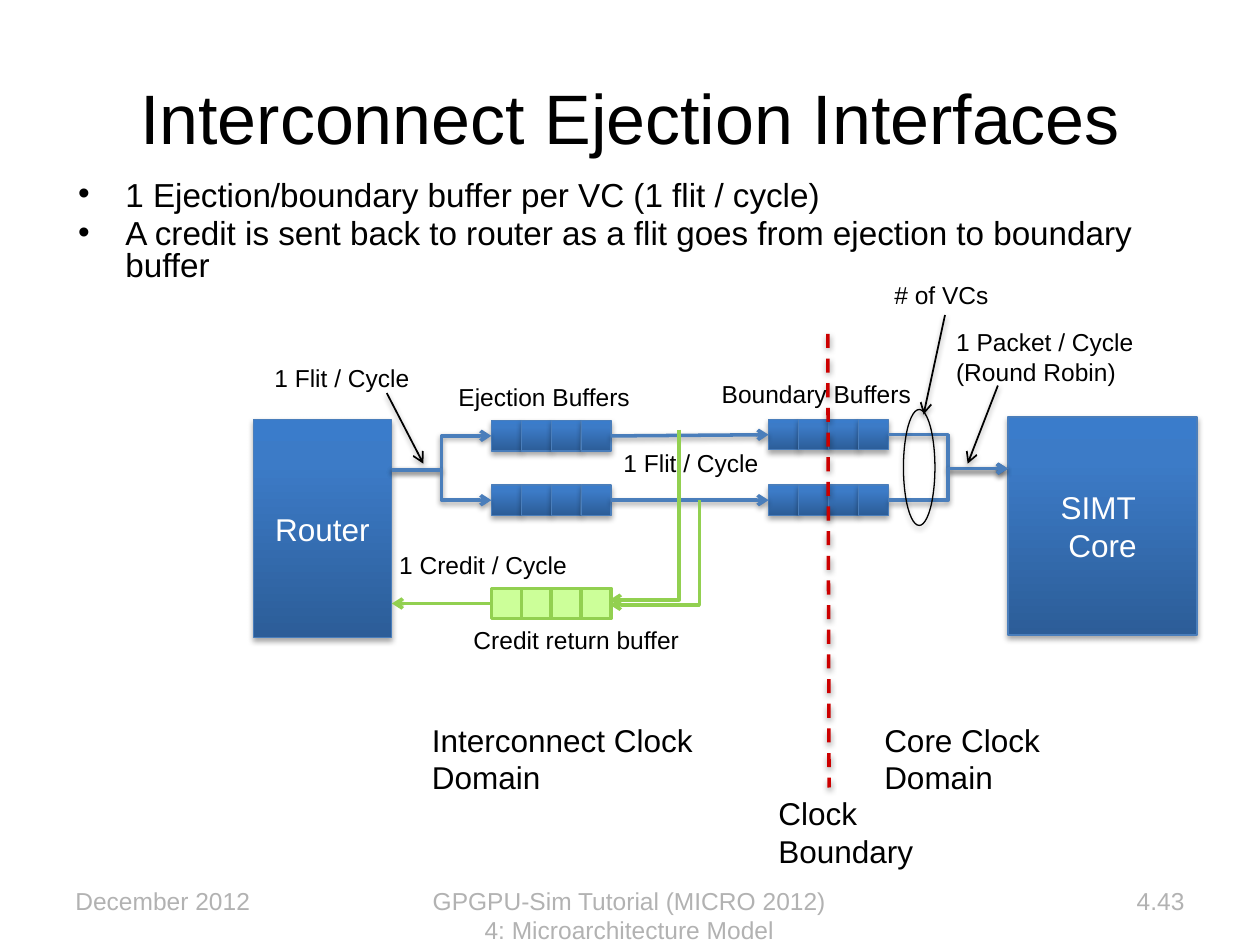
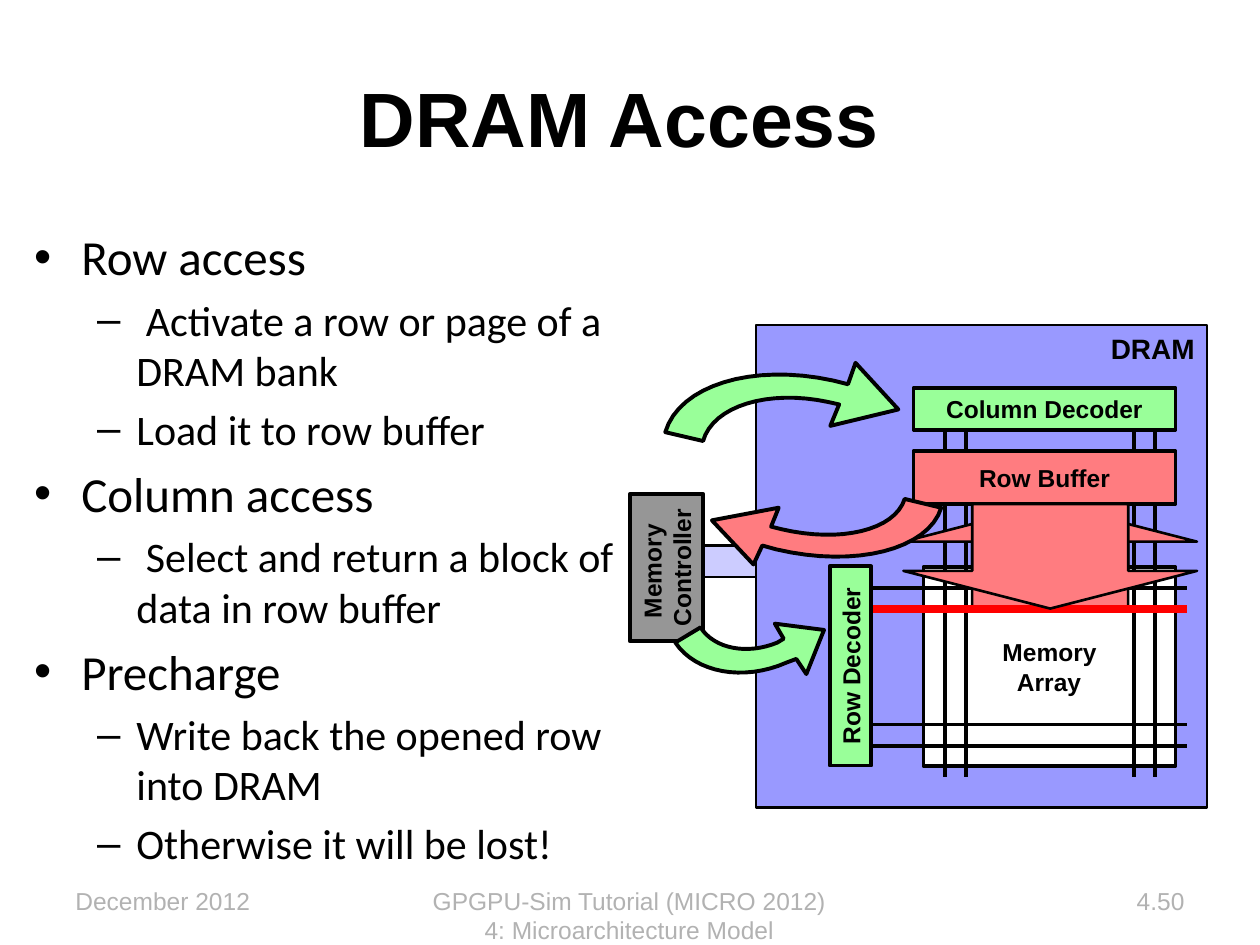
from copy import deepcopy
from dataclasses import dataclass
from typing import Any

from lxml import etree
from pptx import Presentation
from pptx.dml.color import RGBColor
from pptx.enum.dml import MSO_LINE
from pptx.enum.shapes import MSO_CONNECTOR, MSO_SHAPE
from pptx.enum.text import MSO_ANCHOR, MSO_AUTO_SIZE, PP_ALIGN
from pptx.oxml.ns import qn
from pptx.util import Inches, Pt

LEFT, CENTER, RIGHT = PP_ALIGN.LEFT, PP_ALIGN.CENTER, PP_ALIGN.RIGHT
TOP, MIDDLE = MSO_ANCHOR.TOP, MSO_ANCHOR.MIDDLE
FIXED, GROW = MSO_AUTO_SIZE.NONE, MSO_AUTO_SIZE.SHAPE_TO_FIT_TEXT
STRAIGHT, ELBOW = MSO_CONNECTOR.STRAIGHT, MSO_CONNECTOR.ELBOW
RECT, OVAL, UP_ARROW = MSO_SHAPE.RECTANGLE, MSO_SHAPE.OVAL, MSO_SHAPE.UP_ARROW
DASH = MSO_LINE.DASH
LEFT_SIDE, RIGHT_SIDE = 1, 3

COLORS = {
    "black": "000000", "white": "FFFFFF", "footer": "B2B2B2",
    "blue_dark": "2C5D98", "blue_mid": "3C7BC7", "blue_light": "3A7CCB",
    "blue_line": "4A7EBB", "credit": "CCFF99", "credit_line": "92D050",
    "clock": "CC0000", "dram": "9999FF", "bus": "CCCCFF", "controller": "969696",
    "address": "99FF99", "data": "FF7C80", "open_row": "FF0000",
}
BLUE_GRADIENT = ((0, "blue_dark"), (0.8, "blue_mid"), (1, "blue_light"))
# Shadow distance in EMU and opacity in thousandths of a percent
BOX_SHADOW, LINE_SHADOW = (23000, 35000), (20000, 38000)


@dataclass
class Panel:
    """A box on a slide; parts are placed in inches from its top left corner."""
    slide: Any
    left: float
    top: float
    width: float
    height: float

    def at(self, x, y):
        return Inches(self.left + x), Inches(self.top + y)


def rgb(name):
    return RGBColor.from_string(COLORS[name])


def write(frame, lines, sizes=(14,), color="black", font="Arial", bold=False,
          align=LEFT, anchor=TOP, wrap=True, fit=FIXED, inset=None, spacing=None):
    """Fill a text frame; a line is a string or a (level, string) pair."""
    frame.word_wrap, frame.auto_size, frame.vertical_anchor = wrap, fit, anchor
    if inset is not None:
        frame.margin_left = frame.margin_right = Inches(inset)
        frame.margin_top = frame.margin_bottom = Inches(inset)
    for i, line in enumerate(lines):
        level, text = (0, line) if isinstance(line, str) else line
        paragraph = frame.paragraphs[0] if i == 0 else frame.add_paragraph()
        paragraph.level, paragraph.alignment = level, align
        if spacing:
            paragraph.line_spacing = spacing
        run = paragraph.add_run()
        run.text = text
        run.font.name, run.font.size, run.font.bold = font, Pt(sizes[level]), bold
        run.font.color.rgb = rgb(color)


def set_shadow(part, shadow):
    effects = etree.SubElement(part.element.spPr, qn("a:effectLst"))
    if shadow:
        distance, alpha = shadow
        outer = etree.SubElement(effects, qn("a:outerShdw"), blurRad="40000",
                                 dist=str(distance), dir="5400000", rotWithShape="0")
        black = etree.SubElement(outer, qn("a:srgbClr"), val=COLORS["black"])
        etree.SubElement(black, qn("a:alpha"), val=str(alpha))


def paint(shape, fill, line, width, shadow=None):
    """Style a shape; fill is a colour name, gradient stops or None."""
    if fill is None:
        shape.fill.background()
    elif isinstance(fill, str):
        shape.fill.solid()
        shape.fill.fore_color.rgb = rgb(fill)
    else:
        shape.fill.gradient()
        shape.fill.gradient_angle = 90
        stops = shape.element.spPr.find(".//" + qn("a:gsLst"))
        stops.append(deepcopy(stops[-1]))
        for stop, (position, color) in zip(shape.fill.gradient_stops, fill):
            stop.position, stop.color.rgb = position, rgb(color)
    shape.line.color.rgb, shape.line.width = rgb(line), Pt(width)
    set_shadow(shape, shadow)


def block(panel, x, y, w, h, fill, line="black", width=2.25, shadow=None,
          kind=RECT, lines=(), **text_format):
    shape = panel.slide.shapes.add_shape(kind, *panel.at(x, y), Inches(w), Inches(h))
    paint(shape, fill, line, width, shadow)
    if lines:
        write(shape.text_frame, lines, **text_format)
    return shape


def blue_block(panel, x, y, w, h, **text):
    return block(panel, x, y, w, h, BLUE_GRADIENT, "blue_line", 0.75, BOX_SHADOW, **text)


def label(panel, x, y, w, h, *lines, fit=GROW, **text_format):
    box = panel.slide.shapes.add_textbox(*panel.at(x, y), Inches(w), Inches(h))
    write(box.text_frame, lines, fit=fit, **text_format)


def link(panel, start, end, color="blue_line", width=2, kind=STRAIGHT, arrow=True,
         shadow=LINE_SHADOW, dash=None, begin=None, finish=None):
    """Draw a connector; begin and finish are (shape, side) pairs to join."""
    connector = panel.slide.shapes.add_connector(kind, *panel.at(*start), *panel.at(*end))
    if begin:
        connector.begin_connect(*begin)
    if finish:
        connector.end_connect(*finish)
    connector.line.color.rgb, connector.line.width = rgb(color), Pt(width)
    if dash:
        connector.line.dash_style = dash
    if arrow:
        etree.SubElement(connector.element.spPr.find(qn("a:ln")), qn("a:tailEnd"), type="arrow")
    set_shadow(connector, shadow)
    return connector


def down_then_left(panel, start, end):
    """One-corner credit arrow: a two-segment connector turned by 90 degrees."""
    (x1, y1), (x2, y2) = start, end
    cx, cy, run, drop = (x1 + x2) / 2, (y1 + y2) / 2, x1 - x2, y2 - y1
    connector = link(panel, (cx - drop / 2, cy - run / 2), (cx + drop / 2, cy + run / 2),
                     "credit_line", kind=ELBOW, shadow=None)
    properties = connector.element.spPr
    properties.find(qn("a:prstGeom")).set("prst", "bentConnector2")
    properties.find(qn("a:xfrm")).set("rot", "5400000")


def bezier(p0, p1, p2, p3, steps=16):
    for i in range(steps + 1):
        t = i / steps
        weights = ((1 - t) ** 3, 3 * t * (1 - t) ** 2, 3 * t * t * (1 - t), t ** 3)
        yield tuple(sum(w * p[axis] for w, p in zip(weights, (p0, p1, p2, p3)))
                    for axis in (0, 1))


def swoop(panel, fill, inner, outer, head):
    """Curved block arrow from two Bezier edges and five head points."""
    points = [panel.at(*p) for p in (*bezier(*inner), *bezier(*outer), *head)]
    builder = panel.slide.shapes.build_freeform(*points[0])
    builder.add_line_segments(points[1:], close=True)
    paint(builder.convert_to_shape(), fill, "black", 2.25)


def buffer_row(draw, panel, x, y, *style):
    cell = 0.95 / 4
    return [draw(panel, x + i * cell, y, cell, 0.24, *style) for i in range(4)]


def framed_slide(prs, title, title_size, page, bullets, body_box, bold=False, **body_format):
    """Slide with title, bullet list and the shared footer."""
    slide = prs.slides.add_slide(prs.slide_layouts[1])
    heading, body = slide.shapes.title, slide.placeholders[1]
    for holder, box in ((heading, (0.5, 0.3, 9, 1.25)), (body, body_box)):
        holder.left, holder.top, holder.width, holder.height = map(Inches, box)
    write(heading.text_frame, [title], (title_size,), bold=bold, align=CENTER, anchor=MIDDLE)
    write(body.text_frame, bullets, **body_format)
    footer = Panel(slide, 0.5, 6.98, 9, 0.52)
    for x, w, text, align in (
        (0, 2.33, "December 2012", LEFT),
        (2.83, 3.33, "GPGPU-Sim Tutorial (MICRO 2012) 4: Microarchitecture Model", CENTER),
        (footer.width - 2.33, 2.33, page, RIGHT),
    ):
        label(footer, x, 0, w, footer.height, text, fit=FIXED, color="footer", align=align)
    return slide


def ejection_diagram(panel):
    named = {"sizes": (18,), "color": "white", "align": CENTER, "anchor": MIDDLE}
    core_x = panel.width - 1.5
    blue_block(panel, 0.01, 1.33, 1.1, 1.73, lines=["Router"], **named)
    blue_block(panel, core_x, 1.31, 1.5, 1.73, lines=["SIMT ", "Core"], **named)
    for ejection_y, boundary_y in ((1.34, 1.33), (1.85, 1.85)):
        ejection = buffer_row(blue_block, panel, 1.9, ejection_y)
        boundary = buffer_row(blue_block, panel, 4.1, boundary_y)
        y_out, y_in = ejection_y + 0.12, boundary_y + 0.12
        link(panel, (1.11, 1.73), (1.9, y_out), kind=ELBOW)
        link(panel, (2.85, y_out), (4.1, y_in),
             begin=(ejection[-1], RIGHT_SIDE), finish=(boundary[0], LEFT_SIDE))
        link(panel, (5.05, y_in), (core_x, 1.72), kind=ELBOW)
    credits = buffer_row(block, panel, 1.9, 2.67, "credit", "credit_line", 2)
    link(panel, (1.9, 2.79), (1.11, 2.79), "credit_line", shadow=None,
         begin=(credits[0], LEFT_SIDE))
    down_then_left(panel, (3.39, 1.41), (2.84, 2.76))
    down_then_left(panel, (3.55, 1.97), (2.84, 2.8))
    link(panel, (4.57, 0.65), (4.58, 4.25), "clock", arrow=False, dash=DASH)

    for x, y, w, text in ((4.08, 4.25, 1.5, "Clock Boundary"),
                          (4.92, 3.67, 1.5, "Core Clock Domain"),
                          (1.33, 3.67, 3.11, "Interconnect Clock Domain")):
        label(panel, x, y, w, 0.71, text, sizes=(18,))
    for x, y, *lines in ((1.54, 0.98, "Ejection Buffers"), (3.63, 0.96, "Boundary Buffers"),
                         (1.66, 2.91, "Credit return buffer"), (1.07, 2.32, "1 Credit / Cycle"),
                         (0.08, 0.83, "1 Flit / Cycle"), (2.85, 1.51, "1 Flit / Cycle"),
                         (5.49, 0.55, "1 Packet / Cycle", "(Round Robin)"),
                         (5, 0.17, "# of VCs")):
        label(panel, x, y, 2.36, 0.34 if len(lines) == 1 else 0.57, *lines)
    block(panel, 5.17, 1.25, 0.25, 0.92, None, width=0.75, shadow=BOX_SHADOW, kind=OVAL)
    for start, end in (((1.07, 1.12), (1.36, 1.68)), ((5.92, 1.06), (5.68, 1.68)),
                       ((5.5, 0.5), (5.33, 1.29))):
        link(panel, start, end, "black", 1)


def transfer_arrow(panel, rotation):
    arrow = block(panel, 2.17, 1.5, 2.33, 0.83, "data", width=1.5, kind=UP_ARROW)
    arrow.adjustments[0], arrow.adjustments[1] = 0.531, 0.361
    arrow.rotation = rotation


def dram_diagram(panel):
    bold = {"bold": True, "wrap": False}
    centered = {**bold, "align": CENTER, "anchor": MIDDLE}
    tight = {**centered, "inset": 0.05}

    def wire(start, end, color="black", width=2.25):
        link(panel, start, end, color, width, arrow=False, shadow=None)

    block(panel, 1, 0.08, panel.width - 1, panel.height - 0.08, "dram", width=1.5,
          lines=["DRAM"], sizes=(16,), align=RIGHT, **bold)
    block(panel, 2.33, 2, 2, 1.58, "white", lines=["Memory", " Array "], **tight)
    for y in (2.17, 3.25, 3.42):
        wire((1.92, y), (4.42, y))
    block(panel, 0.58, 1.83, 0.42, 0.25, "bus", width=1.5)
    controller = block(panel, 0, 1.42, 0.58, 1.17, "controller",
                       lines=["Memory ", "Controller"], **centered)
    controller.element.txBody.find(qn("a:bodyPr")).set("vert", "vert270")
    for x in (2.5, 2.67, 4, 4.17):
        wire((x, 0.92), (x, 3.67))
    transfer_arrow(panel, 0)
    wire((1.92, 2.33), (4.42, 2.33), "open_row", 4.5)
    row_decoder = block(panel, 0.96, 2.62, 1.58, 0.33, "address", lines=["Row Decoder"], **tight)
    row_decoder.rotation = 270
    swoop(panel, "address",
          inner=((1.17, 2.6), (0.93, 2.7), (0.67, 2.65), (0.56, 2.48)),
          outer=((0.36, 2.6), (0.52, 2.84), (0.9, 2.91), (1.24, 2.76)),
          head=((1.32, 2.73), (1.4, 2.85), (1.54, 2.5), (1.15, 2.45), (1.22, 2.57)))
    swoop(panel, "address",
          inner=((1.57, 0.69), (1.1, 0.59), (0.66, 0.72), (0.58, 1)),
          outer=((0.28, 0.93), (0.39, 0.56), (0.97, 0.38), (1.61, 0.52)),
          head=((1.73, 0.55), (1.79, 0.38), (2.13, 0.75), (1.59, 0.88), (1.66, 0.71)))
    block(panel, 2.25, 0.58, 2.08, 0.33, "address", lines=["Column Decoder"], **tight)
    block(panel, 2.25, 1.08, 2.08, 0.42, "data", lines=["Row Buffer"], **tight)
    swoop(panel, "data",
          inner=((1.2, 1.7), (1.67, 1.81), (2.1, 1.71), (2.18, 1.46)),
          outer=((2.47, 1.53), (2.37, 1.86), (1.79, 2.01), (1.16, 1.86)),
          head=((1.05, 1.83), (0.98, 1.98), (0.65, 1.63), (1.18, 1.53), (1.12, 1.68)))
    transfer_arrow(panel, 180)


def main():
    prs = Presentation()
    prs.slide_width, prs.slide_height = Inches(10), Inches(7.5)
    ejection = framed_slide(
        prs, "Interconnect Ejection Interfaces", 40, "4.43",
        ["1 Ejection/boundary buffer per VC (1 flit / cycle)",
         "A credit is sent back to router as a flit goes from ejection to boundary buffer"],
        (0.52, 1.39, 8.79, 0.95), sizes=(19,), spacing=0.8)
    ejection_diagram(Panel(ejection, 2, 2, 7.5, 4.96))
    dram = framed_slide(
        prs, "DRAM Access ", 44, "4.50",
        ["Row access", (1, " Activate a row or page of a DRAM bank"),
         (1, "Load it to row buffer"),
         "Column access", (1, " Select and return a block of data in row buffer"),
         "Precharge", (1, "Write back the opened row into DRAM"),
         (1, "Otherwise it will be lost!")],
        (0.17, 1.75, 4.83, 4.95), bold=True, sizes=(28, 24), font="Calibri")
    dram_diagram(Panel(dram, 5, 2.5, 4.58, 3.91))
    prs.save("out.pptx")


if __name__ == "__main__":
    main()
